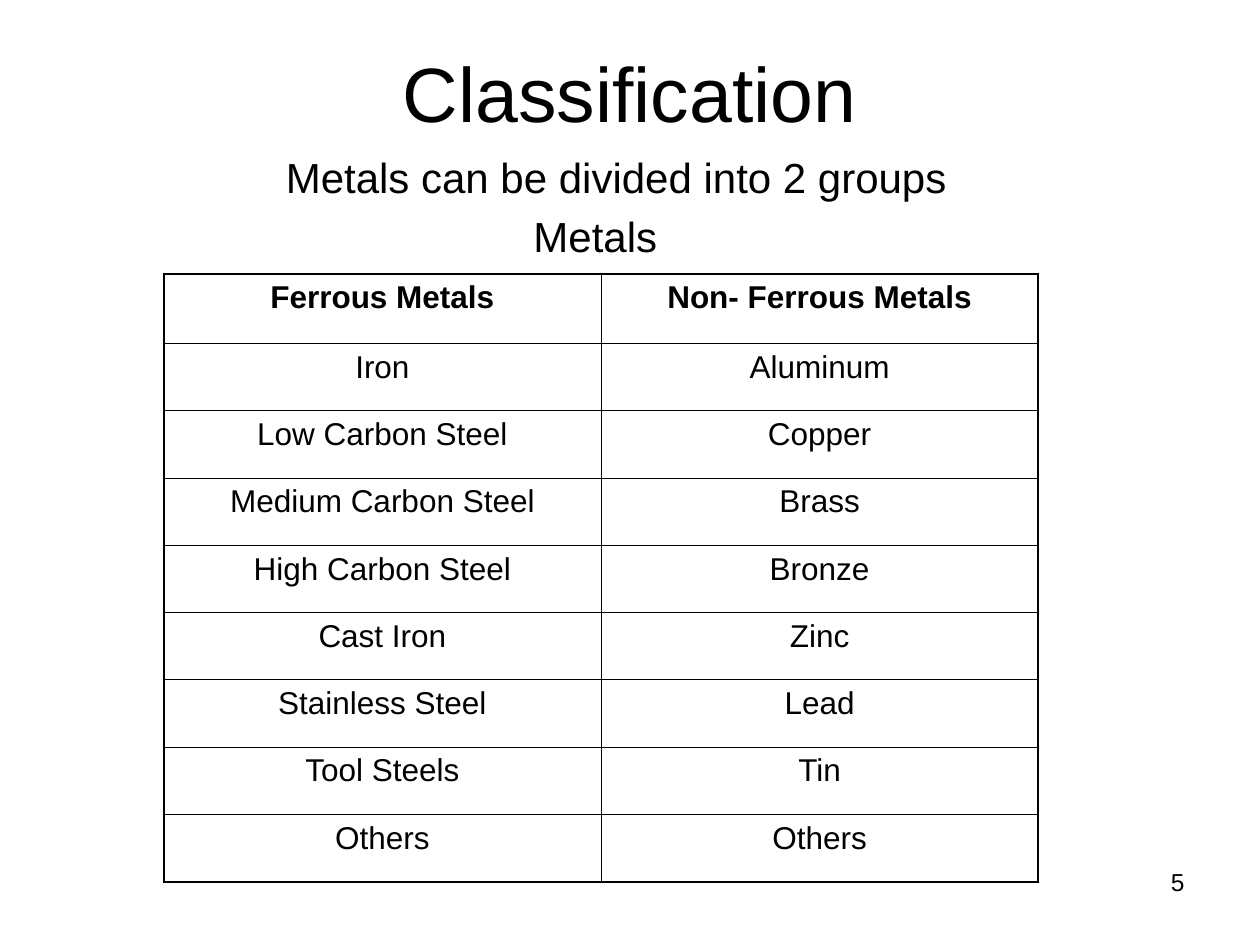
"""Build the metals classification slide."""
import pptx
import pptx.util
import pptx.dml.color
import pptx.enum.text
import pptx.oxml
import pptx.oxml.ns

Pt = pptx.util.Pt
ALIGN = pptx.enum.text.PP_ALIGN
ANCHOR = pptx.enum.text.MSO_ANCHOR
FIT = pptx.enum.text.MSO_AUTO_SIZE
BLACK = pptx.dml.color.RGBColor(0, 0, 0)
FONT = "Arial"
THICK, THIN = 1.08, 0.45

TEXTS = [
    ("5", (516.24, 491.76, 167.76, 37.44), dict(size=14, align=ALIGN.RIGHT), {}),
    ("Classification", (36, 21.6, 648, 61.2), dict(size=44, align=ALIGN.CENTER),
     dict(anchor=ANCHOR.MIDDLE)),
    ("Metals can be divided into 2 groups", (156.24, 82.8, 396, 36),
     dict(size=24), dict(fit=FIT.SHAPE_TO_FIT_TEXT)),
    ("Metals", (263.52, 116.64, 153.36, 36), dict(size=24, align=ALIGN.CENTER),
     dict(fit=FIT.SHAPE_TO_FIT_TEXT)),
]
METALS = [
    ("Ferrous Metals", "Non- Ferrous Metals"),
    ("Iron", "Aluminum"),
    ("Low Carbon Steel", "Copper"),
    ("Medium Carbon Steel", "Brass"),
    ("High Carbon Steel", "Bronze"),
    ("Cast Iron", "Zinc"),
    ("Stainless Steel", "Lead"),
    ("Tool Steels", "Tin"),
    ("Others", "Others"),
]
TABLE_LEFT, TABLE_TOP = 93.6, 156.6
COL_WIDTH = 249.84
ROW_HEIGHTS = [39.6] + [38.45] * 7 + [38.7]


def write(tf, text, size=18, bold=False, align=ALIGN.LEFT):
    """Put one formatted paragraph in a text frame."""
    p = tf.paragraphs[0]
    p.alignment = align
    r = p.add_run()
    r.text = text
    r.font.name = FONT
    r.font.size = Pt(size)
    r.font.bold = bold
    r.font.color.rgb = BLACK


def add_text(s, text, box, style, anchor=ANCHOR.TOP, fit=FIT.NONE):
    """Add a text box."""
    tf = s.shapes.add_textbox(*map(Pt, box)).text_frame
    tf.word_wrap = True
    tf.auto_size = fit
    tf.vertical_anchor = anchor
    write(tf, text, **style)


def set_borders(cell, widths):
    """Draw the left, right, top and bottom borders of a cell."""
    tc_pr = cell._tc.get_or_add_tcPr()
    for i, (side, width) in enumerate(zip("LRTB", widths)):
        tc_pr.insert(i, pptx.oxml.parse_xml(
            f'<a:ln{side} {pptx.oxml.ns.nsdecls("a")} w="{Pt(width)}">'
            f'<a:solidFill><a:srgbClr val="{BLACK}"/></a:solidFill></a:ln{side}>'))


def add_metals_table(s):
    """Add the table with a thick outline and thin inner lines."""
    rows, cols = len(METALS), len(METALS[0])
    table = s.shapes.add_table(rows, cols, Pt(TABLE_LEFT), Pt(TABLE_TOP),
                               Pt(COL_WIDTH * cols), Pt(sum(ROW_HEIGHTS))).table
    table.horz_banding = False
    for col in table.columns:
        col.width = Pt(COL_WIDTH)
    for i, names in enumerate(METALS):
        table.rows[i].height = Pt(ROW_HEIGHTS[i])
        for j, name in enumerate(names):
            cell = table.cell(i, j)
            cell.fill.background()
            write(cell.text_frame, name, bold=i == 0, align=ALIGN.CENTER)
            outer = (j == 0, j == cols - 1, i == 0, i == rows - 1)
            set_borders(cell, [THICK if edge else THIN for edge in outer])


def main():
    """Build and save the slide."""
    prs = pptx.Presentation()
    prs.slide_width, prs.slide_height = Pt(720), Pt(540)
    s = prs.slides.add_slide(prs.slide_layouts[6])
    for text, box, style, frame in TEXTS:
        add_text(s, text, box, style, **frame)
    add_metals_table(s)
    prs.save("out.pptx")


if __name__ == "__main__":
    main()
